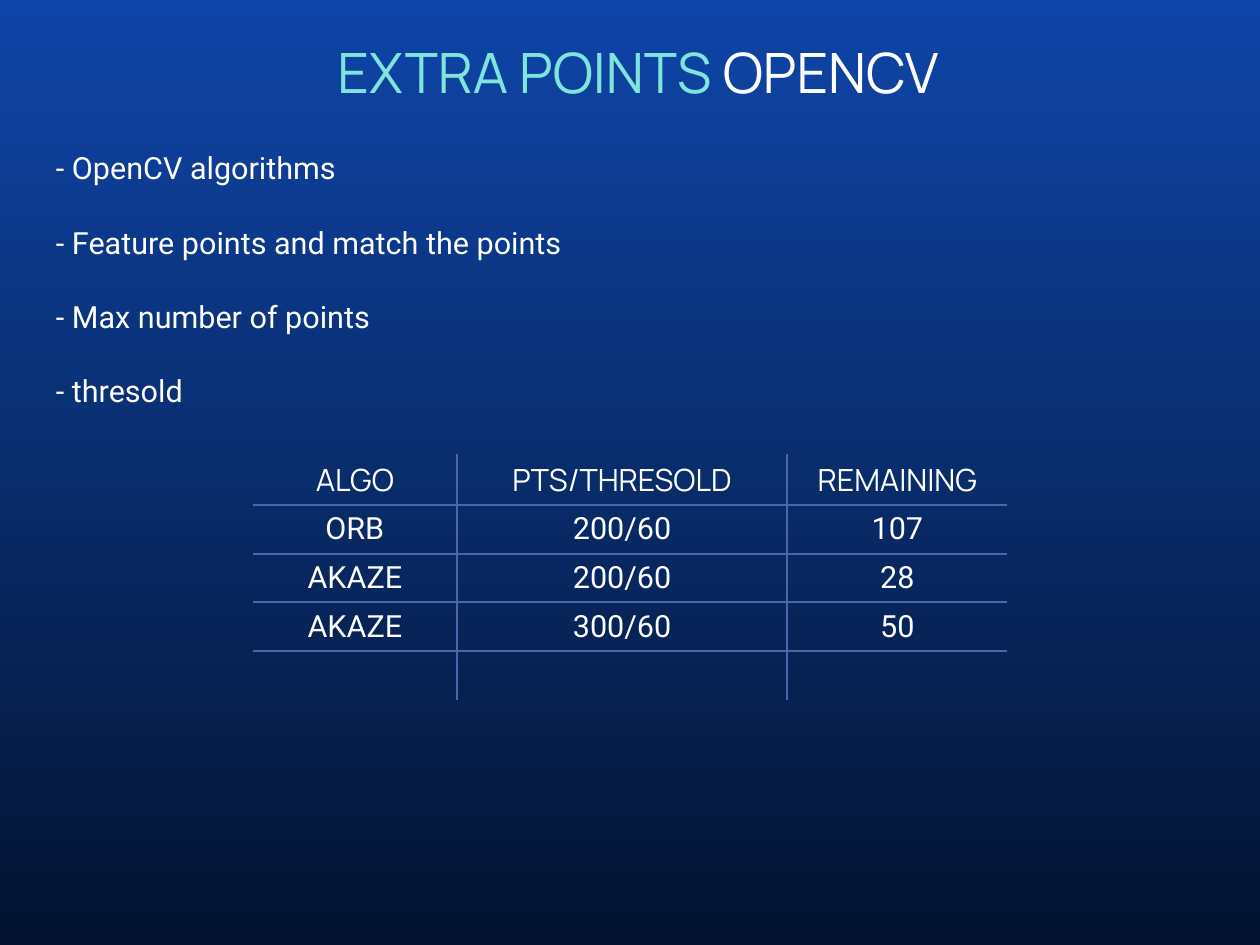
from lxml import etree
from pptx import Presentation
from pptx.dml.color import RGBColor
from pptx.enum import text
from pptx.oxml import ns
from pptx.util import Cm, Pt

WHITE = RGBColor(0xFF, 0xFF, 0xFF)
MINT = RGBColor(0x80, 0xE4, 0xDC)
RULE = RGBColor(0x4D, 0x65, 0xAC)
SKY = RGBColor(0x0F, 0x45, 0xA8)
NIGHT = RGBColor(0x03, 0x13, 0x30)


def add_span(para, words, **formats):
    span = para.add_run()
    span.text = words
    span.font.color.rgb = formats.pop("color", WHITE)
    for name, value in formats.items():
        setattr(span.font, name, value)


def set_border(cell, side, visible):
    line = etree.SubElement(cell._tc.get_or_add_tcPr(), ns.qn("a:ln" + side))
    line.set("w", str(Pt(3)))
    if visible:
        fill = etree.SubElement(line, ns.qn("a:solidFill"))
        etree.SubElement(fill, ns.qn("a:srgbClr")).set("val", str(RULE))
    else:
        etree.SubElement(line, ns.qn("a:noFill"))


deck = Presentation()
deck.slide_width, deck.slide_height = Cm(64.01), Cm(48.01)
page = deck.slides.add_slide(deck.slide_layouts[1])

backdrop = page.background.fill
backdrop.gradient()
backdrop.gradient_angle = 270
for stop, color in zip(backdrop.gradient_stops, (SKY, NIGHT)):
    stop.color.rgb = color

title, body = page.placeholders
frames = (
    (title, (2.59, 1.55, 59.64, 4.14), 0.71, text.MSO_ANCHOR.MIDDLE),
    (body, (2.59, 7.34, 60.3, 8.74), 0.25, text.MSO_ANCHOR.TOP),
)
for box, place, inset, anchor in frames:
    box.left, box.top, box.width, box.height = [Cm(length) for length in place]
    frame_formats = {
        "word_wrap": True,
        "auto_size": text.MSO_AUTO_SIZE.NONE,
        "vertical_anchor": anchor,
        "margin_left": Cm(inset),
        "margin_right": Cm(inset),
        "margin_top": Cm(inset),
        "margin_bottom": Cm(inset),
    }
    for name, value in frame_formats.items():
        setattr(box.text_frame, name, value)

para = title.text_frame.paragraphs[0]
para.alignment = text.PP_ALIGN.CENTER
for words, color in (("EXTRA POINTS ", MINT), ("OPENCV", WHITE)):
    add_span(para, words, name="Manrope", size=Pt(80), color=color)

points = (
    "- OpenCV algorithms",
    "- Feature points and match the points",
    "- Max number of points",
    "- thresold",
)
for index, words in enumerate(points):
    para = body.text_frame.paragraphs[0] if index == 0 else body.text_frame.add_paragraph()
    para.line_spacing = 1.0
    para.space_before = Pt(54 if index else 0)
    properties = para._p.get_or_add_pPr()
    properties.set("marL", "0")
    properties.set("indent", "0")
    etree.SubElement(properties, ns.qn("a:buNone"))
    add_span(para, words, name="Roboto", size=Pt(44))

results = (
    ("ALGO", "PTS/THRESOLD", "REMAINING"),
    ("ORB", "200/60", "107"),
    ("AKAZE", "200/60", "28"),
    ("AKAZE", "300/60", "50"),
    ("", "", ""),
)
widths = (10.36, 16.79, 11.18)
row_height = 2.47
last_row, last_column = len(results) - 1, len(widths) - 1
table = page.shapes.add_table(
    len(results), len(widths), Cm(12.85), Cm(23.04),
    Cm(sum(widths)), Cm(row_height * len(results)),
).table
table.first_row = False
table.horz_banding = False
for column, width in zip(table.columns, widths):
    column.width = Cm(width)

for r, values in enumerate(results):
    table.rows[r].height = Cm(row_height)
    for c, value in enumerate(values):
        cell = table.cell(r, c)
        cell_formats = {
            "vertical_anchor": text.MSO_ANCHOR.MIDDLE,
            "margin_left": Cm(0.25),
            "margin_right": Cm(0.25),
            "margin_top": Cm(0.25),
            "margin_bottom": Cm(0.25),
        }
        for name, setting in cell_formats.items():
            setattr(cell, name, setting)
        inner = {"L": c > 0, "R": c < last_column, "T": r > 0, "B": r < last_row}
        for side, visible in inner.items():
            set_border(cell, side, visible)
        cell.fill.background()
        if value:
            para = cell.text_frame.paragraphs[0]
            para.alignment = text.PP_ALIGN.CENTER
            add_span(para, value, name="Roboto" if r else "Manrope", size=Pt(44))

deck.save("out.pptx")
